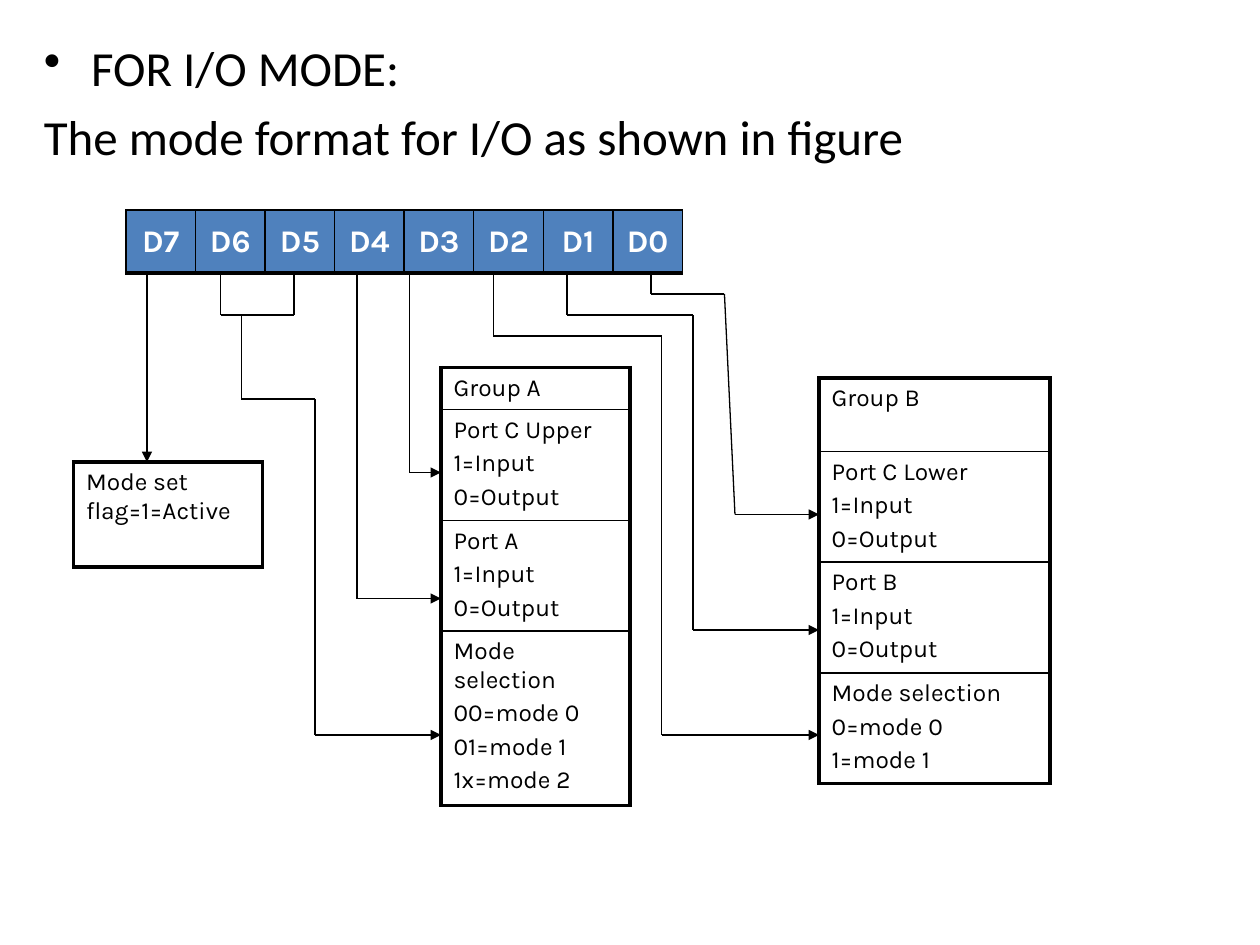
from dataclasses import dataclass

import lxml.etree
import pptx
import pptx.dml.color
import pptx.enum.shapes
import pptx.enum.text
import pptx.oxml
import pptx.oxml.ns
import pptx.util

BLACK, WHITE, BLUE = "000000", "FFFFFF", "4F81BD"
qn = pptx.oxml.ns.qn


@dataclass
class Table:
    """A table; lengths count grid steps, borders are points."""
    left: float
    top: float
    width: float
    height: float
    row_height: float
    rows: list[list[str]]
    side: float = 2.25
    first_top: float = 2.25
    last_bottom: float = 2.25
    first_height: float = 0
    header: bool = False


@dataclass
class Route:
    """A line through grid points, with or without an arrowhead."""
    points: list[tuple[int, int]]
    arrow: bool = True


PORT = "\n1=Input\n0=Output"
TABLES = [
    Table(12, 20, 53, 6, 6, [[f"D{bit}" for bit in range(7, -1, -1)]],
          side=1, first_top=1, last_bottom=3, header=True),
    Table(42, 35, 18, 39.5, 4.3,
          [["Group A"], ["Port C Upper" + PORT], ["Port A" + PORT],
           ["Mode selection\n00=mode 0\n01=mode 1\n1x=mode 2"]], first_height=4),
    Table(78, 36, 22, 39.1, 7.2,
          [["Group B"], ["Port C Lower" + PORT], ["Port B" + PORT],
           ["Mode selection\n0=mode 0\n1=mode 1"]], first_height=7),
    Table(7, 44, 18, 10, 10, [["Mode set flag=1=Active"]]),
]
ROUTES = [
    Route([(14, 26), (14, 44)]),
    Route([(21, 26), (21, 30), (28, 30), (28, 26)], arrow=False),
    Route([(23, 30), (23, 38), (30, 38), (30, 70), (42, 70)]),
    Route([(34, 26), (34, 57), (42, 57)]),
    Route([(39, 26), (39, 45), (42, 45)]),
    Route([(47, 26), (47, 32), (63, 32), (63, 70), (78, 70)]),
    Route([(54, 26), (54, 30), (66, 30), (66, 60), (78, 60)]),
    Route([(62, 26), (62, 28), (69, 28), (70, 49), (78, 49)]),
]


def grid(steps: float) -> pptx.util.Length:
    """Turn grid steps, twelve to 2.54 cm, into a length."""
    return pptx.util.Cm(steps * 2.54 / 12)


def rgb(value: str) -> pptx.dml.color.RGBColor:
    """Turn a hex string into a colour."""
    return pptx.dml.color.RGBColor.from_string(value)


def style(paragraph, font: str, size: float, color: str, bold: bool = False) -> None:
    """Set the font of a whole paragraph."""
    paragraph.font.name = font
    paragraph.font.size = pptx.util.Pt(size)
    paragraph.font.bold = bold
    paragraph.font.color.rgb = rgb(color)


def add_border(cell, side: str, width: float) -> None:
    """Draw one black border of a cell."""
    line = lxml.etree.SubElement(cell._tc.get_or_add_tcPr(), qn(f"a:ln{side}"),
                                 w=str(int(pptx.util.Pt(width))))
    fill = lxml.etree.SubElement(line, qn("a:solidFill"))
    lxml.etree.SubElement(fill, qn("a:srgbClr"), val=BLACK)


def fill_cell(cell, text: str, header: bool) -> None:
    """Set the fill and text of a cell."""
    if header:
        cell.fill.solid()
        cell.fill.fore_color.rgb = rgb(BLUE)
        cell.vertical_anchor = pptx.enum.text.MSO_ANCHOR.MIDDLE
    else:
        cell.fill.background()
    cell.text_frame.text = text
    for paragraph in cell.text_frame.paragraphs:
        if header:
            style(paragraph, "Karla", 18, WHITE, bold=True)
            paragraph.alignment = pptx.enum.text.PP_ALIGN.CENTER
        else:
            style(paragraph, "Karla", 14, BLACK)
            paragraph.space_before = pptx.util.Pt(2.8)


def add_table(page, spec_table: Table) -> None:
    """Draw a table with its borders."""
    item = spec_table
    last, columns = len(item.rows) - 1, len(item.rows[0])
    frame = page.shapes.add_table(last + 1, columns, grid(item.left), grid(item.top),
                                  grid(item.width), grid(item.height))
    table = frame.table
    table.first_row = table.horz_banding = False
    for column in table.columns:
        column.width = grid(item.width / columns)
    for number, texts in enumerate(item.rows):
        first = number == 0 and item.first_height
        table.rows[number].height = grid(item.first_height if first else item.row_height)
        for index, text in enumerate(texts):
            cell = table.cell(number, index)
            add_border(cell, "L", item.side)
            add_border(cell, "R", item.side)
            add_border(cell, "T", item.first_top if number == 0 else 1)
            add_border(cell, "B", item.last_bottom if number == last else 1)
            fill_cell(cell, text, item.header)
    frame.height = grid(item.height)


def add_route(page, route: Route) -> None:
    """Draw a route as straight connectors, the last one with the arrowhead."""
    for start, end in zip(route.points, route.points[1:]):
        connector = page.shapes.add_connector(
            pptx.enum.shapes.MSO_CONNECTOR.STRAIGHT, *map(grid, start + end))
        connector.line.color.rgb = rgb(BLACK)
        connector.line.width = pptx.util.Pt(0.75)
        lxml.etree.SubElement(connector._element.spPr, qn("a:effectLst"))
        if route.arrow and end == route.points[-1]:
            lxml.etree.SubElement(connector.line._get_or_add_ln(), qn("a:tailEnd"),
                                  type="triangle")


def add_heading(page) -> None:
    """Write the bulleted heading and the sentence below it."""
    box = page.shapes.add_textbox(grid(3), grid(3), grid(115), grid(83))
    box.text_frame.word_wrap = True
    box.text_frame.text = "FOR I/O MODE:\nThe mode format for I/O as shown in figure"
    for paragraph in box.text_frame.paragraphs:
        style(paragraph, "Calibri", 28, BLACK)
        paragraph.space_before = pptx.util.Pt(5.6)
        properties = paragraph._p.get_or_add_pPr()
        properties.set("marL", str(int(grid(4.5))))
        properties.set("indent", str(-int(grid(4.5))))
    bullet = pptx.oxml.parse_xml(
        '<a:buChar xmlns:a="http://schemas.openxmlformats.org/drawingml/2006/main" char="•"/>')
    first = box.text_frame.paragraphs[0]._p.get_or_add_pPr()
    first.find(qn("a:defRPr")).addprevious(bullet)


def main() -> None:
    """Build the slide and save it."""
    deck = pptx.Presentation()
    deck.slide_width, deck.slide_height = grid(120), grid(90)
    page = deck.slides.add_slide(deck.slide_layouts[6])
    add_heading(page)
    for table in TABLES:
        add_table(page, table)
    for route in ROUTES:
        add_route(page, route)
    deck.save("out.pptx")


main()
